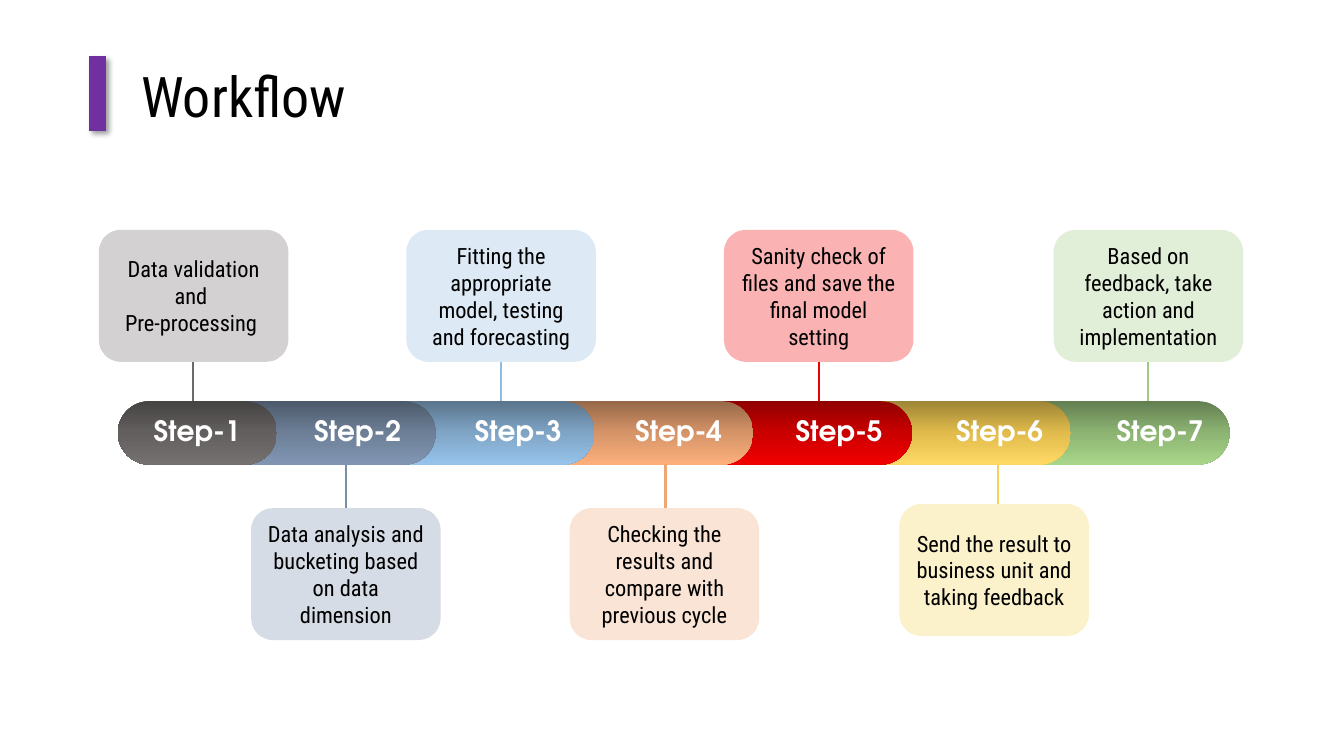
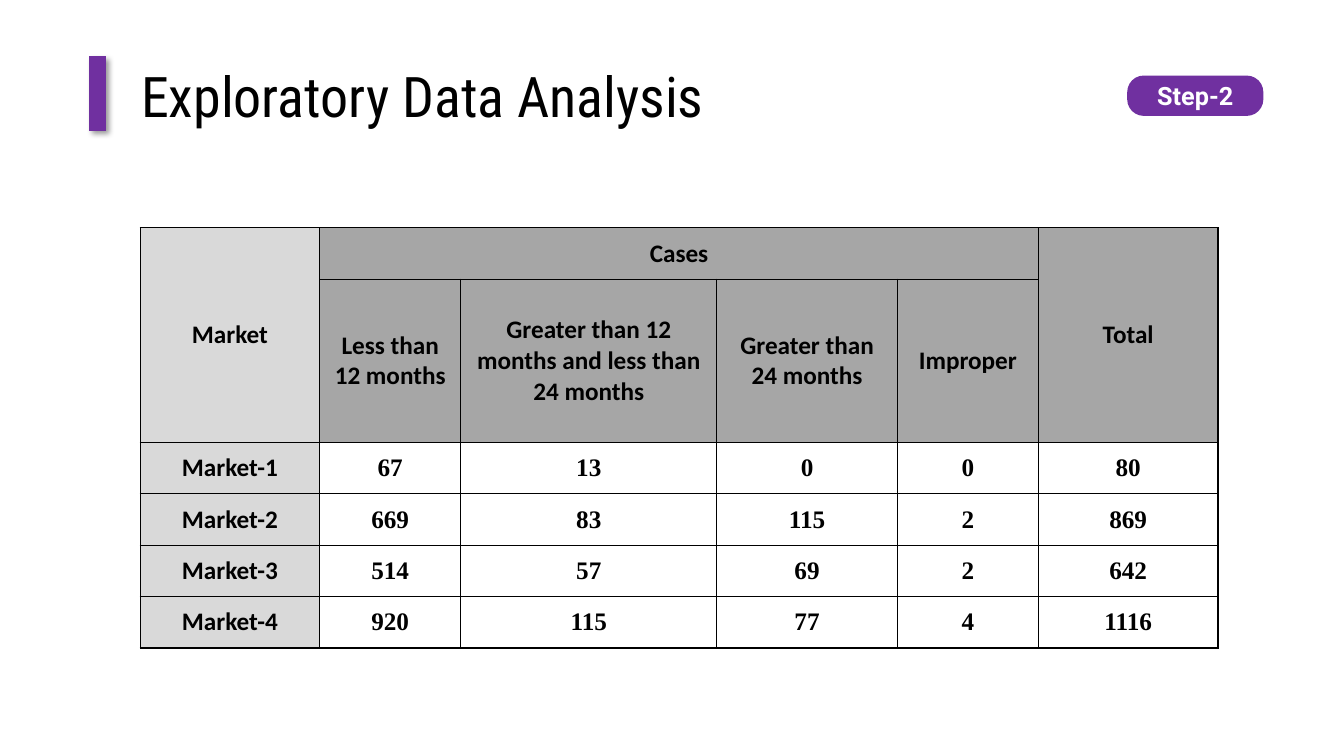
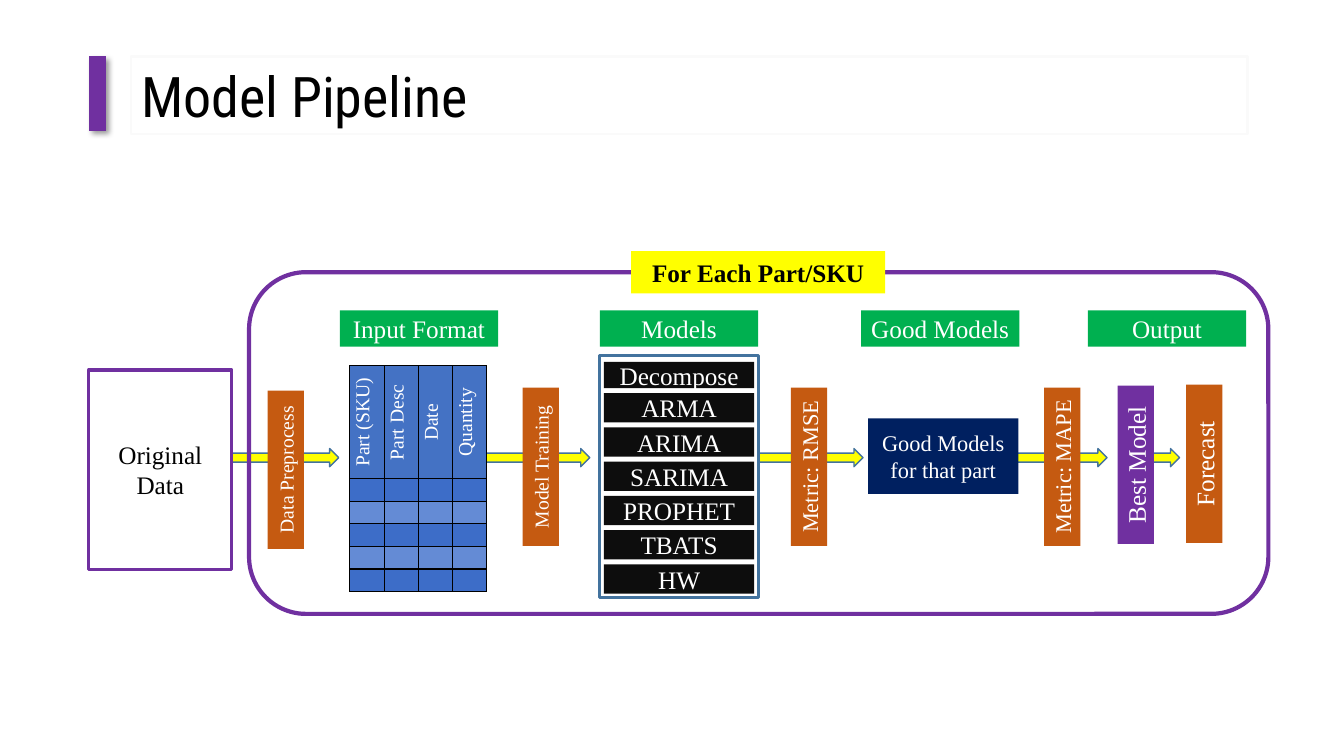
import copy

import lxml.etree
import pptx
import pptx.dml.color
import pptx.enum.shapes
import pptx.enum.text
import pptx.oxml.ns
import pptx.util

Inches = pptx.util.Inches
Pt = pptx.util.Pt
SHAPES = pptx.enum.shapes.MSO_SHAPE
ALIGN = pptx.enum.text.PP_ALIGN
ANCHOR = pptx.enum.text.MSO_ANCHOR
qn = pptx.oxml.ns.qn

PURPLE, YELLOW, GREEN, RUST = "7030A0", "FFFF00", "00B050", "C55A11"
WHITE, BLACK, STEEL, NAVY = "FFFFFF", "000000", "43739E", "002060"
CONDENSED, SERIF, SANS = "Roboto Condensed", "Times New Roman", "Calibri"

STEPS = [
    ("Data validation and \nPre-processing ", 0.98, 2.28, 1.91, "6E6969",
     ("464343", "635F5F", "767171")),
    ("Data analysis and bucketing based on data dimension", 2.49, 5.04, 3.43, "798DA9",
     ("4C596A", "6D7F97", "8196B4")),
    ("Fitting the appropriate model, testing and forecasting", 4.03, 2.28, 4.97, "90BBE1",
     ("5A748B", "7FA5C6", "97C3EB")),
    ("Checking the results and compare with previous cycle", 5.65, 5.04, 6.6, "F0A674",
     ("966849", "D59468", "FDAF7B")),
    ("Sanity check of files and save the final model setting", 7.18, 2.28, 8.12, "F10000",
     ("8F0000", "CB0000", "F10000")),
    ("Send the result to business unit and taking feedback", 8.92, 5, 9.9, "F5D356",
     ("9E8436", "E1BC4C", "FFD966")),
    ("Based on feedback, take action and implementation", 10.45, 2.28, 11.39, "9FCB81",
     ("637F51", "8DB473", "A8D689")),
]

MARKET_ROWS = [
    ("Market", "Cases", "", "", "", "Total"),
    ("", "Less than 12 months", "Greater than 12 months and less than 24 months",
     "Greater than 24 months", "Improper", ""),
    ("Market-1", "67", "13", "0", "0", "80"),
    ("Market-2", "669", "83", "115", "2", "869"),
    ("Market-3", "514", "57", "69", "2", "642"),
    ("Market-4", "920", "115", "77", "4", "1116"),
]
MARKET_COLUMNS = (1.78, 1.4, 2.54, 1.79, 1.4, 1.78)
MARKET_HEIGHTS = (0.51, 1.62, 0.51, 0.51, 0.51, 0.51)

INPUT_FIELDS = ("Part (SKU)", "Part Desc", "Date", "Quantity")
MODELS = ("Decompose", "ARMA", "ARIMA", "SARIMA", "PROPHET", "TBATS", "HW")
STAGES = [("Input Format", 3.37), ("Models", 5.95), ("Good Models", 8.54), ("Output", 10.79)]
FLOW_ARROWS = [(2.3, 1.06), (4.79, 1.06), (7.52, 1.04), (9.92, 1.06), (11.2, 0.5)]
UPRIGHT_LABELS = [
    ("Data Preprocess", 2.05, 4.48, 14, RUST),
    ("Model Training", 4.58, 4.45, 14, RUST),
    ("Metric: RMSE", 7.24, 4.45, 16, RUST),
    ("Metric: MAPE", 9.75, 4.45, 16, RUST),
    ("Best Model", 10.48, 4.43, 18, PURPLE),
    ("Forecast", 11.16, 4.42, 18, RUST),
]


def rgb(color):
    return pptx.dml.color.RGBColor.from_string(color)


def write_text(frame, text, size=18, font=SERIF, color=WHITE, bold=False,
               align=ALIGN.CENTER, anchor=ANCHOR.MIDDLE, inset=None, spacing=None, before=None):
    frame.word_wrap = True
    frame.vertical_anchor = anchor
    if inset is not None:
        frame.margin_left = frame.margin_right = Inches(inset)
        frame.margin_top = frame.margin_bottom = Inches(inset)
    frame.text = text
    for paragraph in frame.paragraphs:
        paragraph.alignment = align
        paragraph.line_spacing = spacing
        paragraph.space_before = before
        for run in paragraph.runs:
            run.font.size, run.font.name, run.font.bold = Pt(size), font, bold
            run.font.color.rgb = rgb(color)


def set_fill(shape, color, opacity=None):
    shape.fill.solid()
    shape.fill.fore_color.rgb = rgb(color)
    if opacity is not None:
        color_node = shape.element.spPr.find(qn("a:solidFill"))[0]
        lxml.etree.SubElement(color_node, qn("a:alpha"), val=str(opacity * 1000))


def set_gradient(shape, colors):
    shape.fill.gradient()
    shape.fill.gradient_angle = 270
    stops = shape.element.spPr.find(qn("a:gradFill")).find(qn("a:gsLst"))
    for stop in list(stops):
        stops.remove(stop)
    for index, color in enumerate(colors):
        stop = lxml.etree.SubElement(stops, qn("a:gs"), pos=str(index * 50000))
        lxml.etree.SubElement(stop, qn("a:srgbClr"), val=color)


def add_shape(slide, kind, left, top, width, height, fill=None, line=None, line_width=1,
              opacity=None, text=None, **text_format):
    shape = slide.shapes.add_shape(kind, Inches(left), Inches(top), Inches(width), Inches(height))
    shape.shadow.inherit = False
    if fill:
        set_fill(shape, fill, opacity)
    else:
        shape.fill.background()
    if line:
        shape.line.color.rgb = rgb(line)
        shape.line.width = Pt(line_width)
    else:
        shape.line.fill.background()
    if text:
        write_text(shape.text_frame, text, **text_format)
    return shape


def add_line(slide, x, start, end, color, width):
    line = slide.shapes.add_connector(pptx.enum.shapes.MSO_CONNECTOR.STRAIGHT,
                                      Inches(x), Inches(start), Inches(x), Inches(end))
    line.line.color.rgb = rgb(color)
    line.line.width = Pt(width)
    return lxml.etree.SubElement(line.element.spPr, qn("a:effectLst"))


def add_titled_slide(presentation, title):
    slide = presentation.slides.add_slide(presentation.slide_layouts[5])
    effects = add_line(slide, 0.97, 0.56, 1.3, PURPLE, 12)
    shadow = lxml.etree.SubElement(effects, qn("a:outerShdw"), blurRad=str(Pt(4)),
                                   dist=str(Pt(3)), dir="2700000", algn="tl", rotWithShape="0")
    shade = lxml.etree.SubElement(shadow, qn("a:srgbClr"), val=BLACK)
    lxml.etree.SubElement(shade, qn("a:alpha"), val="40000")
    holder = slide.shapes.title
    holder.left, holder.top = Inches(1.3), Inches(0.56)
    holder.width, holder.height = Inches(11.07), Inches(0.77)
    write_text(holder.text_frame, title, size=40, font=CONDENSED, color=BLACK, align=ALIGN.LEFT)
    holder.text_frame.auto_size = pptx.enum.text.MSO_AUTO_SIZE.NONE
    return slide


def set_borders(cell):
    properties = cell._tc.get_or_add_tcPr()
    for index, side in enumerate(("a:lnL", "a:lnR", "a:lnT", "a:lnB")):
        border = lxml.etree.Element(qn(side), w=str(Pt(1)))
        solid = lxml.etree.SubElement(border, qn("a:solidFill"))
        lxml.etree.SubElement(solid, qn("a:srgbClr"), val=BLACK)
        properties.insert(index, border)


def add_grid(slide, left, top, widths, heights, rows, fill_of, font_of, margin, **text_format):
    table = slide.shapes.add_table(len(heights), len(widths), Inches(left), Inches(top),
                                   Inches(sum(widths)), Inches(sum(heights))).table
    table.first_row = table.horz_banding = False
    for column, width in zip(table.columns, widths):
        column.width = Inches(width)
    for row, height in zip(table.rows, heights):
        row.height = Inches(height)
    for row_index, row in enumerate(rows):
        for column_index, text in enumerate(row):
            cell = table.cell(row_index, column_index)
            cell.vertical_anchor = ANCHOR.MIDDLE
            cell.margin_left = cell.margin_right = Inches(margin)
            cell.margin_top = cell.margin_bottom = Inches(margin / 2)
            if text:
                write_text(cell.text_frame, text, font=font_of(row_index, column_index),
                           **text_format)
            else:
                lxml.etree.SubElement(cell.text_frame.paragraphs[0]._p,
                                      qn("a:endParaRPr"), sz="800")
            cell.fill.solid()
            cell.fill.fore_color.rgb = rgb(fill_of(row_index, column_index))
            set_borders(cell)
    return table


def build_workflow(presentation):
    slide = add_titled_slide(presentation, "Workflow")
    box_width, box_height, upper_line_start = 1.88, 1.31, 4.05
    for text, left, top, x, color, gradient in STEPS:
        start, end = (upper_line_start, top + box_height) if top < 4 else (top, top - 0.45)
        add_line(slide, x, start, end, color, 1.5)
    for index, step in reversed(list(enumerate(STEPS))):
        bar = add_shape(slide, SHAPES.ROUNDED_RECTANGLE, 1.17, 3.98, 1.575 * (index + 1), 0.63)
        bar.adjustments[0] = 0.5
        set_gradient(bar, step[-1])
    for index, (text, left, top, x, color, gradient) in enumerate(STEPS):
        label = slide.shapes.add_textbox(Inches(1.22 + 1.592 * index), Inches(4.08),
                                         Inches(1.47), Inches(0.43))
        write_text(label.text_frame, f"Step-{index + 1}", size=20, font="TeX Gyre Adventor",
                   bold=True, inset=0, spacing=0.9, before=Pt(2))
        add_shape(slide, SHAPES.FLOWCHART_ALTERNATE_PROCESS, left, top, box_width, box_height,
                  fill=color, opacity=30, text=text, size=16, font=CONDENSED, color=BLACK)


def build_analysis(presentation):
    slide = add_titled_slide(presentation, "Exploratory Data Analysis")

    def fill_of(row, column):
        if column == 0:
            return "D9D9D9"
        return "A6A6A6" if row < 2 else WHITE

    def font_of(row, column):
        return SANS if row < 2 or column == 0 else SERIF

    table = add_grid(slide, 1.39, 2.26, MARKET_COLUMNS, MARKET_HEIGHTS, MARKET_ROWS,
                     fill_of, font_of, 0.1, color=BLACK, bold=True)
    for first, last in (((0, 0), (1, 0)), ((0, 1), (0, 4)), ((0, 5), (1, 5))):
        table.cell(*first).merge(table.cell(*last))
    badge = add_shape(slide, SHAPES.ROUNDED_RECTANGLE, 11.18, 0.75, 1.35, 0.4, fill=PURPLE,
                      text="Step-2", font="Roboto", bold=True, inset=0)
    badge.adjustments[0] = 0.41


def build_pipeline(presentation):
    slide = add_titled_slide(presentation, "Model Pipeline")
    slide.shapes.title.line.color.rgb = rgb("FAFAFA")
    slide.shapes.title.line.width = Pt(2)
    box = SHAPES.RECTANGLE
    for left, width in FLOW_ARROWS:
        add_shape(slide, SHAPES.RIGHT_ARROW, left, 4.45, width, 0.18, fill=YELLOW, line=STEEL)
    add_shape(slide, box, 0.88, 3.67, 1.42, 1.98, line=PURPLE, line_width=2.25,
              text="Original Data", color=BLACK)

    field_widths = [0.34] * len(INPUT_FIELDS)
    header = add_grid(slide, 3.47, 3.63, field_widths, [1.12], [INPUT_FIELDS],
                      lambda row, column: "4472C4", lambda row, column: SERIF, 0.04, size=14)
    for cell in header.iter_cells():
        cell._tc.get_or_add_tcPr().set("vert", "vert270")
    add_grid(slide, 3.47, 4.75, field_widths, [0.224] * 5, [[""] * len(INPUT_FIELDS)] * 5,
             lambda row, column: "648BD5" if row % 2 else "3D6DC8",
             lambda row, column: SERIF, 0)

    for text, left in STAGES:
        add_shape(slide, box, left, 3.08, 1.57, 0.36, fill=GREEN, text=text)
    add_shape(slide, box, 5.95, 3.53, 1.57, 2.4, line=STEEL, line_width=2.25)
    for index, model in enumerate(MODELS):
        height = 0.29 if index else 0.26
        add_shape(slide, box, 5.99, 3.85 + 0.34 * index - height, 1.49, height,
                  fill="0D0D0D", text=model)
    add_shape(slide, box, 8.61, 4.15, 1.49, 0.75, fill=NAVY,
              text="Good Models for that part", size=16)
    for text, left, top, size, color in UPRIGHT_LABELS:
        label = add_shape(slide, box, left, top, 1.57, 0.36, fill=color, text=text, size=size)
        label.rotation = 270
    add_shape(slide, SHAPES.ROUNDED_RECTANGLE, 2.47, 2.7, 10.11, 3.39, line=PURPLE, line_width=3)
    add_shape(slide, box, 6.26, 2.49, 2.52, 0.42, fill=YELLOW,
              text="For Each Part/SKU", color=BLACK, bold=True)


presentation = pptx.Presentation()
presentation.slide_width, presentation.slide_height = Inches(13.33), Inches(7.5)
build_workflow(presentation)
build_analysis(presentation)
build_pipeline(presentation)
presentation.save("out.pptx")
